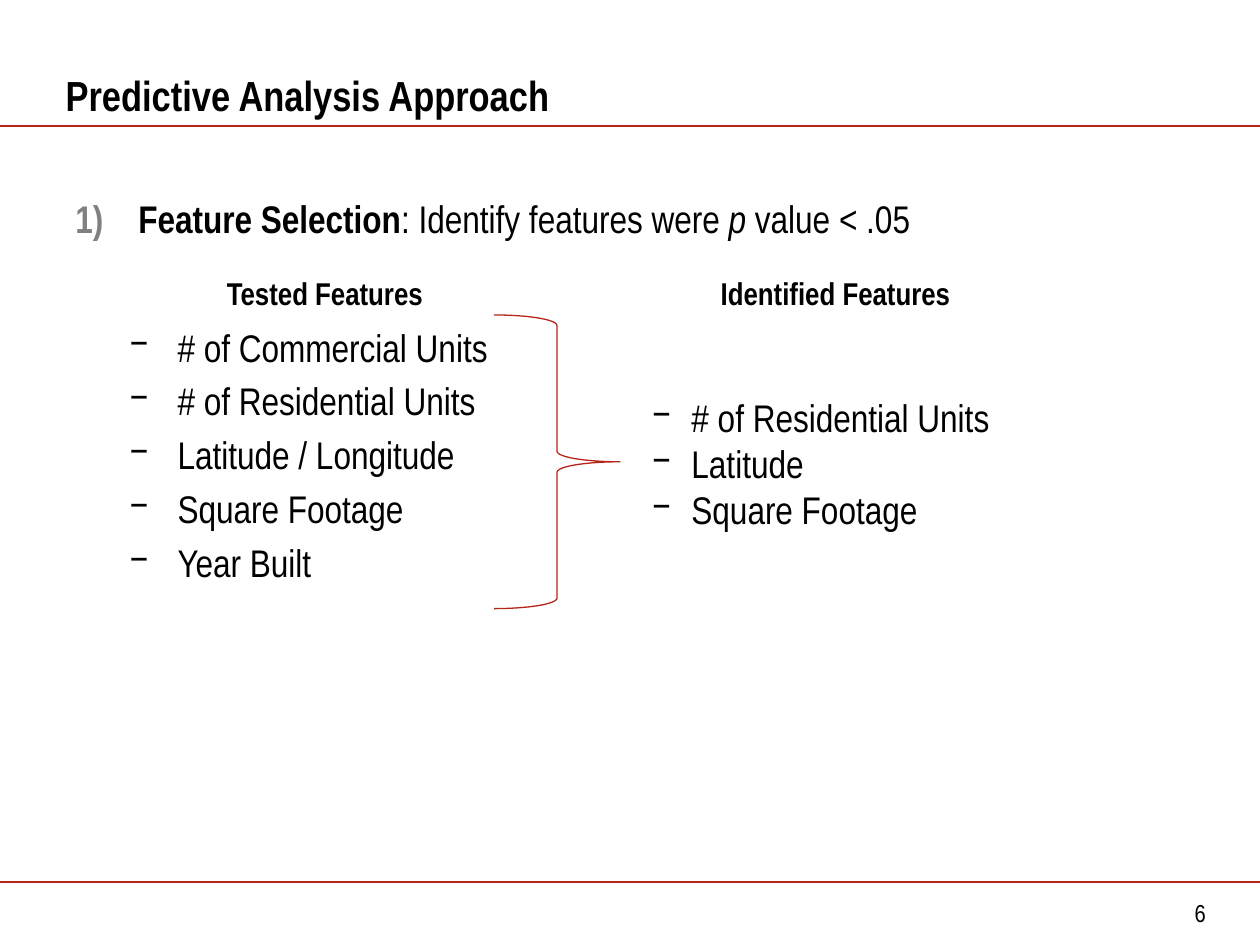
from lxml import etree
from pptx import Presentation
from pptx.dml.color import RGBColor
from pptx.enum.shapes import MSO_CONNECTOR, MSO_SHAPE
from pptx.enum.text import MSO_ANCHOR, MSO_AUTO_SIZE, PP_ALIGN
from pptx.oxml.ns import qn
from pptx.util import Cm, Pt

STRAIGHT = MSO_CONNECTOR.STRAIGHT
BRACE, RECTANGLE = MSO_SHAPE.RIGHT_BRACE, MSO_SHAPE.RECTANGLE
TOP, MIDDLE, BOTTOM = MSO_ANCHOR.TOP, MSO_ANCHOR.MIDDLE, MSO_ANCHOR.BOTTOM
LEFT, CENTER = PP_ALIGN.LEFT, PP_ALIGN.CENTER
NO_AUTOFIT = MSO_AUTO_SIZE.NONE

FONT = "Arial Narrow"
BLACK, WHITE, RED, GRAY = "000000", "FFFFFF", "B72419", "808080"
SLIDE_WIDTH, SLIDE_HEIGHT = 25.4, 19.05
BODY_SIZE = 22
BODY_GAP = 0.2 * BODY_SIZE
TESTED = ["# of Commercial Units", "# of Residential Units",
          "Latitude / Longitude", "Square Footage", "Year Built"]
IDENTIFIED = ["# of Residential Units", "Latitude", "Square Footage"]


def color(hex_value):
    return RGBColor.from_string(hex_value)


def prepare_frame(frame, anchor=TOP):
    frame.word_wrap = True
    frame.auto_size = NO_AUTOFIT
    frame.vertical_anchor = anchor
    return frame


def add_text(paragraph, text, size=BODY_SIZE, bold=False, italic=False,
             align=LEFT, before=0):
    """Append a formatted run and set the paragraph's alignment and gap."""
    paragraph.alignment = align
    paragraph.space_before = Pt(before)
    run = paragraph.add_run()
    run.text = text
    font = run.font
    font.name, font.size = FONT, Pt(size)
    font.bold, font.italic = bold, italic
    font.color.rgb = color(BLACK)


def set_bullet(paragraph, margin, hanging, char=None, bullet_color=BLACK):
    """Give a hanging bullet: the character, or a number like 1) without one."""
    props = paragraph._p.get_or_add_pPr()
    props.set("marL", str(Cm(margin)))
    props.set("indent", str(-Cm(hanging)))
    tint = etree.SubElement(props, qn("a:buClr"))
    etree.SubElement(tint, qn("a:srgbClr"), val=bullet_color)
    if char:
        etree.SubElement(props, qn("a:buFont"), typeface=FONT)
        etree.SubElement(props, qn("a:buChar"), char=char)
    else:
        etree.SubElement(props, qn("a:buAutoNum"), type="arabicParenR")


def add_text_box(slide, left, top, width, height):
    box = slide.shapes.add_textbox(Cm(left), Cm(top), Cm(width), Cm(height))
    return prepare_frame(box.text_frame)


def add_outline_shape(slide, kind, left, top, width, height, line_color, weight):
    shape = slide.shapes.add_shape(kind, Cm(left), Cm(top), Cm(width), Cm(height))
    shape.shadow.inherit = False
    shape.fill.background()
    shape.line.color.rgb = color(line_color)
    shape.line.width = Pt(weight)
    return shape


def add_rule(slide, y):
    rule = slide.shapes.add_connector(STRAIGHT, 0, Cm(y), Cm(SLIDE_WIDTH), Cm(y))
    rule.line.color.rgb = color(RED)
    rule.line.width = Pt(0.75)
    etree.SubElement(rule._element.spPr, qn("a:effectLst"))


def add_title(slide, text):
    title = slide.shapes.title
    title.left, title.top = Cm(1.07), Cm(0.43)
    title.width, title.height = Cm(23.7), Cm(2.11)
    frame = prepare_frame(title.text_frame, BOTTOM)
    add_text(frame.paragraphs[0], text, size=24, bold=True)


def add_body(slide):
    frame = add_text_box(slide, 1.27, 3.81, 23.5, 13.21)
    step = frame.paragraphs[0]
    add_text(step, "Feature Selection", bold=True, before=BODY_GAP)
    add_text(step, ": Identify features were ", before=BODY_GAP)
    add_text(step, "p ", italic=True, before=BODY_GAP)
    add_text(step, "value < .05", before=BODY_GAP)
    set_bullet(step, 1.27, 1.27, bullet_color=GRAY)
    for index, feature in enumerate(TESTED):
        item = frame.add_paragraph()
        add_text(item, feature, before=BODY_GAP if index else 47)
        set_bullet(item, 2.06, 0.96, "−")


def add_identified_list(slide):
    frame = add_text_box(slide, 12.9, 7.82, 8.69, 3.07)
    for index, feature in enumerate(IDENTIFIED):
        item = frame.add_paragraph() if index else frame.paragraphs[0]
        add_text(item, feature)
        set_bullet(item, 0.79, 0.79, "−")


def add_heading(slide, text, left, width):
    heading = add_outline_shape(slide, RECTANGLE, left, 5.28, width, 1.27, WHITE, 3)
    frame = prepare_frame(heading.text_frame, MIDDLE)
    add_text(frame.paragraphs[0], text, size=18, bold=True, align=CENTER)


def main():
    deck = Presentation()
    deck.slide_width, deck.slide_height = Cm(SLIDE_WIDTH), Cm(SLIDE_HEIGHT)
    slide = deck.slides.add_slide(deck.slide_layouts[5])

    for y in (2.54, 17.78):
        add_rule(slide, y)
    add_title(slide, "Predictive Analysis Approach")
    add_body(slide)
    page_number = add_text_box(slide, 22.43, 17.98, 3.53, 0.89)
    add_text(page_number.paragraphs[0], "6", size=14, align=CENTER)
    add_outline_shape(slide, BRACE, 9.96, 6.35, 2.54, 5.92, RED, 0.75)
    add_identified_list(slide)
    add_heading(slide, "Tested Features", 4.01, 5.08)
    add_heading(slide, "Identified Features", 13.77, 6.15)

    deck.save("out.pptx")


if __name__ == "__main__":
    main()
